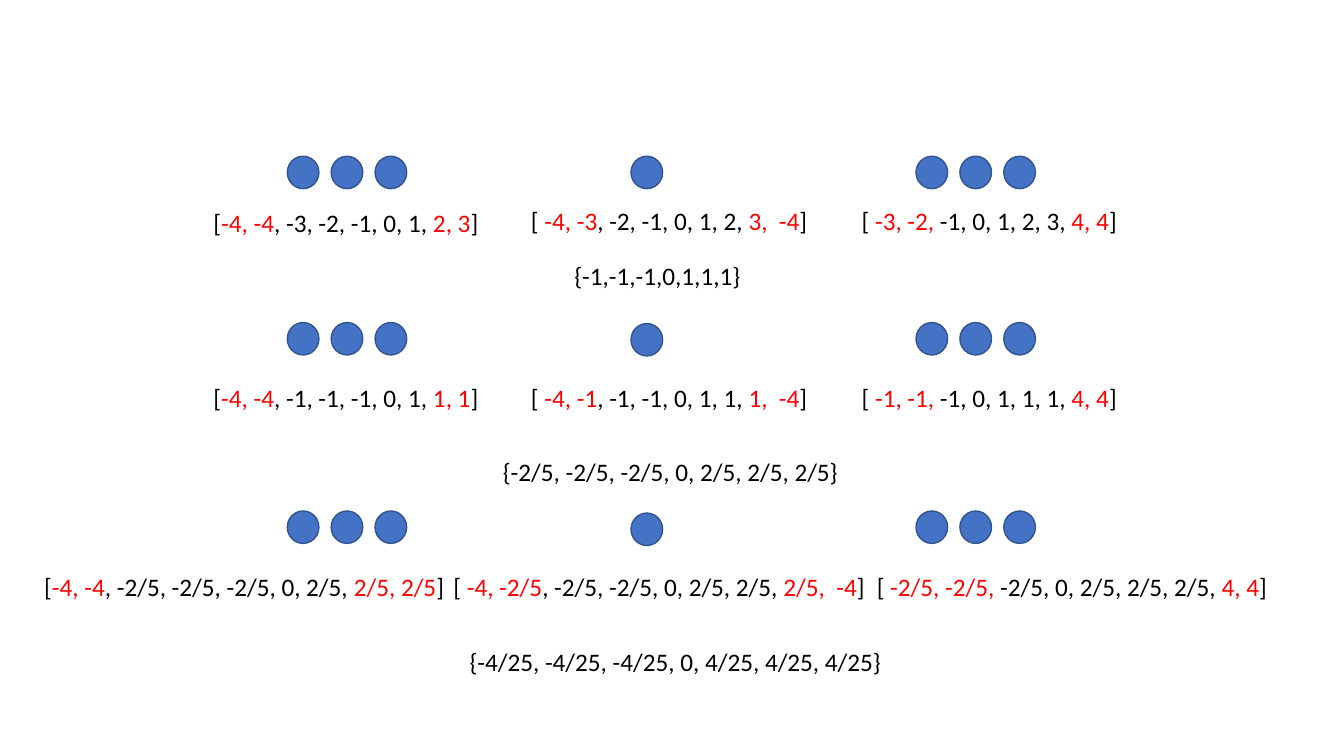
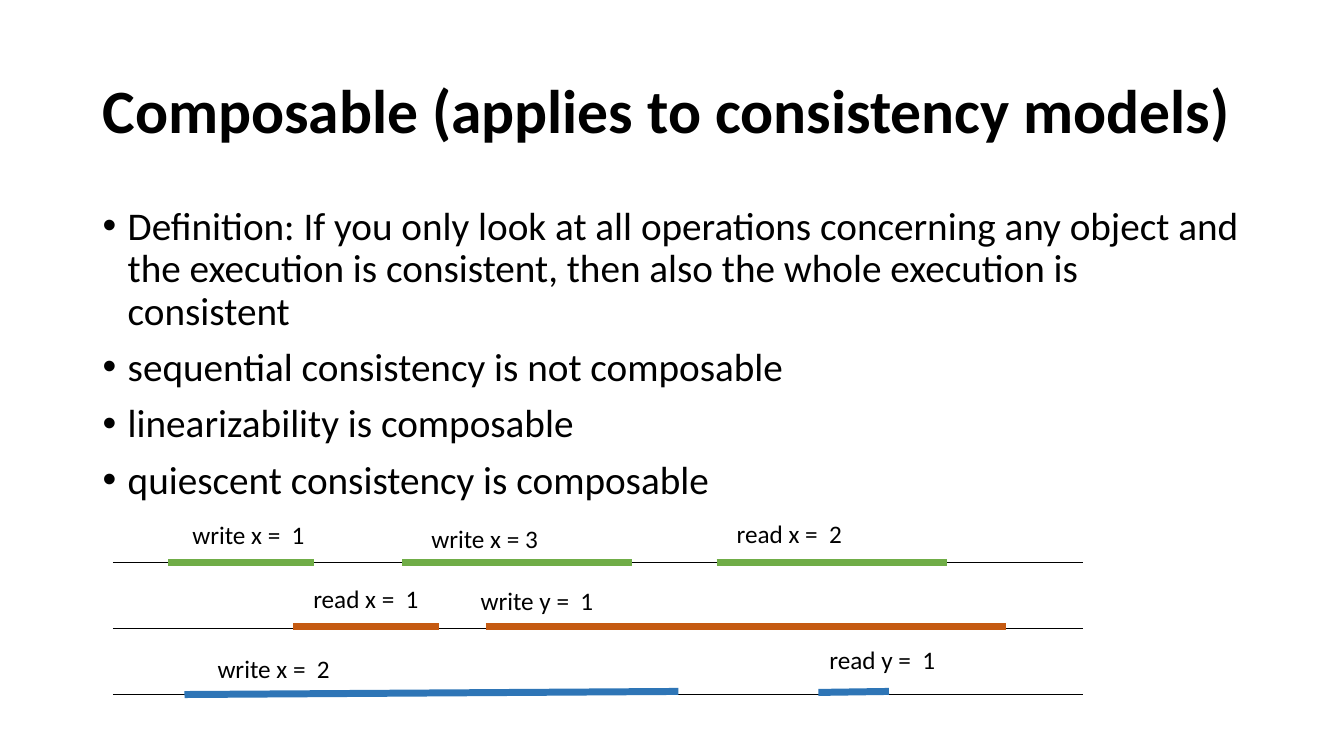
"""Build two slides: stencil exchange between processes, and composable consistency models."""
from lxml.etree import SubElement
from pptx import Presentation
from pptx.dml.color import RGBColor
from pptx.enum.shapes import MSO_CONNECTOR, MSO_SHAPE
from pptx.enum.text import MSO_ANCHOR, MSO_AUTO_SIZE
from pptx.oxml.ns import qn
from pptx.util import Pt

FONT = "Calibri"
BLACK, RED = "000000", "FF0000"
DOT_FILL, DOT_LINE = "4472C4", "325491"
GREEN, ORANGE, BLUE = "70AD47", "C55A11", "2E75B6"
LABEL_HEIGHT = 29

# Text between bars is red: (text, left, top, width)
LISTS = [
    ("[|-4, -4|, -3, -2, -1, 0, 1, |2, 3|]", 145.4, 144.7, 205.9),
    ("[ |-4, -3|, -2, -1, 0, 1, 2, |3,  -4|]", 372.2, 143.3, 214.6),
    ("[ |-3, -2, |-1, 0, 1, 2, 3, |4, 4|]", 608.4, 143.3, 198.7),
    ("{-1,-1,-1,0,1,1,1}", 403.2, 182.2, 134.6),
    ("[|-4, -4|, -1, -1, -1, 0, 1, |1, 1|]", 145.4, 269.3, 205.9),
    ("[ |-4, -1|, -1, -1, 0, 1, 1, |1,  -4|]", 372.2, 269.3, 214.6),
    ("[ |-1, -1, |-1, 0, 1, 1, 1, |4, 4|]", 608.4, 269.3, 198.7),
    ("{-2/5, -2/5, -2/5, 0, 2/5, 2/5, 2/5}", 352.1, 322.6, 257),
    ("[|-4, -4|, -2/5, -2/5, -2/5, 0, 2/5, |2/5, 2/5|]", 24.5, 404.6, 303.8),
    ("[ |-4, -2/5|, -2/5, -2/5, 0, 2/5, 2/5, |2/5,  -4|]", 316.8, 404.6, 311.8),
    ("[ |-2/5, -2/5, |-2/5, 0, 2/5, 2/5, 2/5, |4, 4|]", 619.2, 404.6, 296.6),
    ("{-4/25, -4/25, -4/25, 0, 4/25, 4/25, 4/25}", 328.3, 457.9, 312.5),
]
DOT_WIDTH, DOT_HEIGHT, DOT_STEP = 22.6, 23.2, 31.35
DOT_GROUPS = [(205.2, 3), (450.7, 1), (654.3, 3)]
DOT_ROWS = [(111.6, 111.6), (230.4, 231.1), (365, 366.5)]

TITLE = "Composable (applies to consistency models)"
BULLETS = [
    "Definition: If you only look at all operations concerning any object and "
    "the execution is consistent, then also the whole execution is consistent",
    "sequential consistency is not composable",
    "linearizability is composable",
    "quiescent consistency is composable",
]
AXIS_LEFT, AXIS_RIGHT = 80.6, 773.3
# Operations: (label, label left, label top, label width, bar start, bar end)
THREADS = [
    (401.8, GREEN, [
        ("write x =  1", 130.3, 367.2, 95.8, (120.2, 401.8), (224.6, 401.8)),
        ("write x = 3", 301, 370.1, 91.4, (287.3, 401.8), (451.4, 401.8)),
        ("read x =  2", 519.1, 366.5, 90.7, (511.9, 401.8), (676.1, 401.8)),
    ]),
    (448.6, ORANGE, [
        ("read x =  1", 216.7, 413.3, 90.7, (209.5, 447.8), (313.9, 447.8)),
        ("write y =  1", 336.2, 414.7, 96.5, (347, 447.8), (718.6, 447.8)),
    ]),
    (496.1, BLUE, [
        ("write x =  2", 148.3, 463, 95.8, (131.8, 496.1), (484.6, 493.9)),
        ("read y =  1", 585.4, 456.5, 91.4, (584.6, 494.6), (635, 493.9)),
    ]),
]


def color(value):
    """Turn a hex string into a colour."""
    return RGBColor.from_string(value)


def style(font, size, bold=False):
    """Apply the common black font."""
    font.name, font.size, font.bold = FONT, Pt(size), bold
    font.color.rgb = color(BLACK)


def add_box(page, left, top, width, height, wrap=True):
    """Add a text box and return its text frame."""
    frame = page.shapes.add_textbox(Pt(left), Pt(top), Pt(width), Pt(height)).text_frame
    frame.word_wrap = wrap
    return frame


def add_label(page, text, left, top, width):
    """Add a one-line label whose barred parts are red."""
    frame = add_box(page, left, top, width, LABEL_HEIGHT, wrap=False)
    frame.auto_size = MSO_AUTO_SIZE.SHAPE_TO_FIT_TEXT
    para = frame.paragraphs[0]
    style(para.font, 18)
    for index, part in enumerate(text.split("|")):
        span = para.add_run()
        span.text = part
        if index % 2:
            span.font.color.rgb = color(RED)


def add_dot(page, left, top):
    """Add one process dot."""
    dot = page.shapes.add_shape(MSO_SHAPE.OVAL, Pt(left), Pt(top), Pt(DOT_WIDTH), Pt(DOT_HEIGHT))
    dot.shadow.inherit = False
    dot.fill.solid()
    dot.fill.fore_color.rgb = color(DOT_FILL)
    dot.line.color.rgb = color(DOT_LINE)
    dot.line.width = Pt(1)


def add_line(page, start, end, line_color, width):
    """Add a straight line without a shadow."""
    points = [Pt(value) for value in (*start, *end)]
    line = page.shapes.add_connector(MSO_CONNECTOR.STRAIGHT, *points)
    line.line.color.rgb = color(line_color)
    line.line.width = Pt(width)
    SubElement(line._element.spPr, qn("a:effectLst"))


def add_title(page, text):
    """Add the slide title."""
    frame = add_box(page, 66.2, 28.8, 828, 104.4)
    frame.vertical_anchor = MSO_ANCHOR.MIDDLE
    para = frame.paragraphs[0]
    para.text = text
    para.line_spacing = 0.9
    style(para.font, 44, bold=True)


def add_bullets(page, items):
    """Add the bulleted body text."""
    frame = add_box(page, 66.2, 144, 828, 342.7)
    for index, item in enumerate(items):
        para = frame.add_paragraph() if index else frame.paragraphs[0]
        para.text = item
        para.line_spacing = 0.9
        para.space_before = Pt(10)
        properties = para._p.get_or_add_pPr()
        properties.set("marL", str(Pt(18)))
        properties.set("indent", str(-Pt(18)))
        SubElement(properties, qn("a:buFont"), typeface="Arial")
        SubElement(properties, qn("a:buChar"), char="•")
        style(para.font, 28)


def build_stencil(page):
    """Draw the dots and the lists each process holds."""
    for outer_top, centre_top in DOT_ROWS:
        for left, count in DOT_GROUPS:
            for index in range(count):
                add_dot(page, left + index * DOT_STEP, centre_top if count == 1 else outer_top)
    for entry in LISTS:
        add_label(page, *entry)


def build_composable(page):
    """Draw the definition and the thread timelines."""
    add_title(page, TITLE)
    add_bullets(page, BULLETS)
    for axis_top, bar_color, operations in THREADS:
        add_line(page, (AXIS_LEFT, axis_top), (AXIS_RIGHT, axis_top), BLACK, 0.5)
        for text, left, top, width, start, end in operations:
            add_line(page, start, end, bar_color, 5)
            add_label(page, text, left, top, width)


def main():
    """Build and save the deck."""
    deck = Presentation()
    deck.slide_width, deck.slide_height = Pt(960), Pt(540)
    for build in (build_stencil, build_composable):
        build(deck.slides.add_slide(deck.slide_layouts[6]))
    deck.save("out.pptx")


if __name__ == "__main__":
    main()
